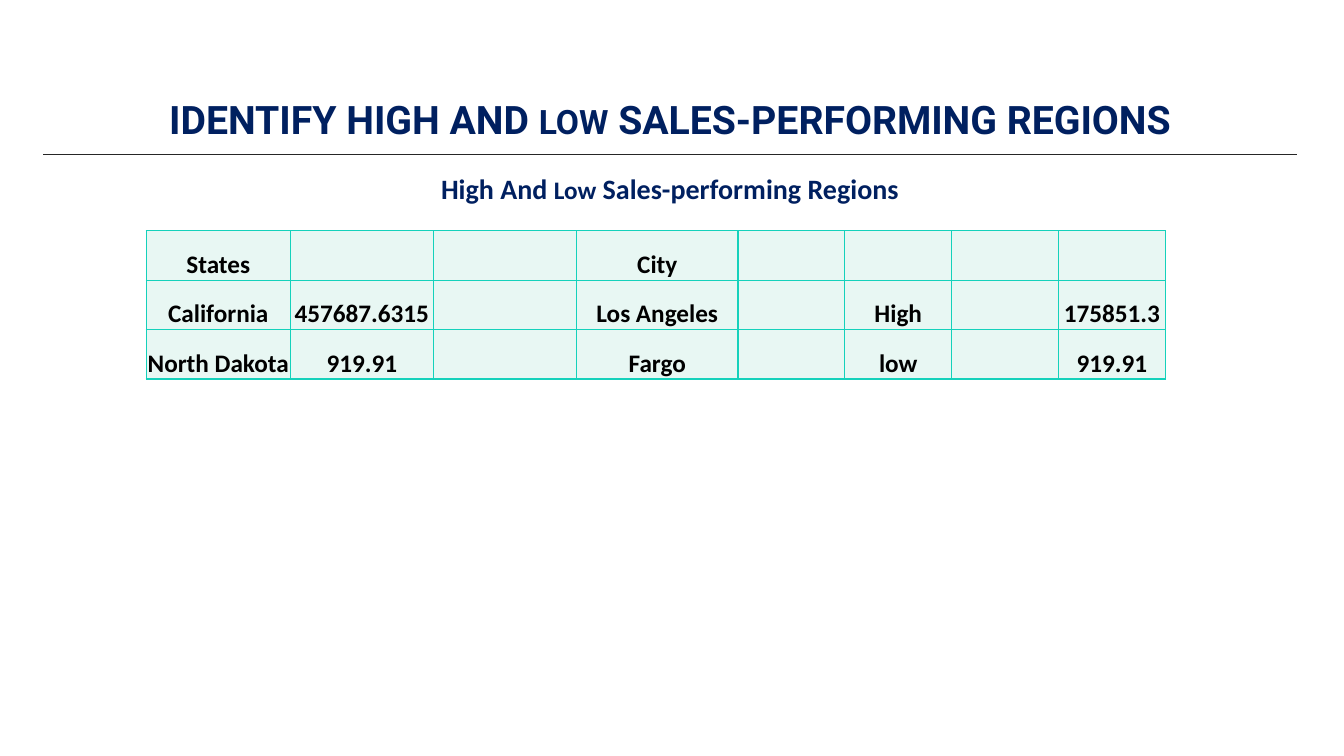
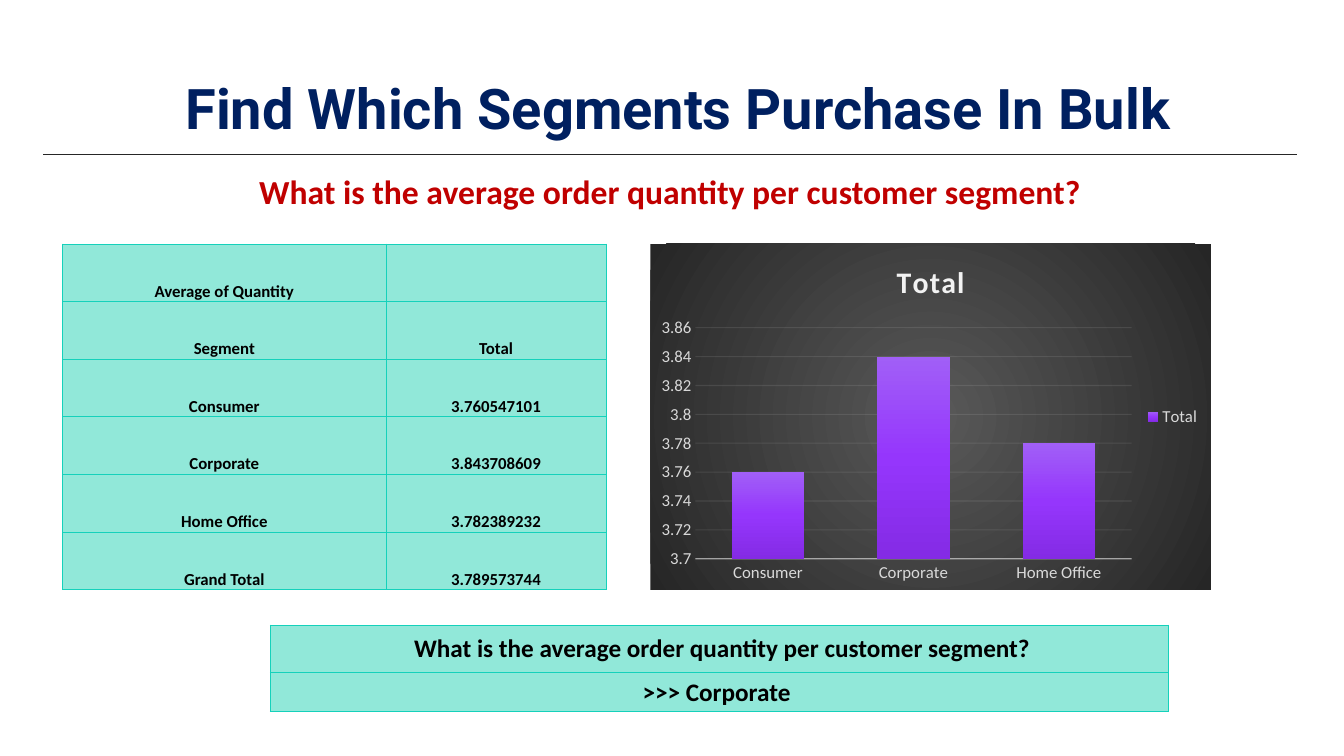
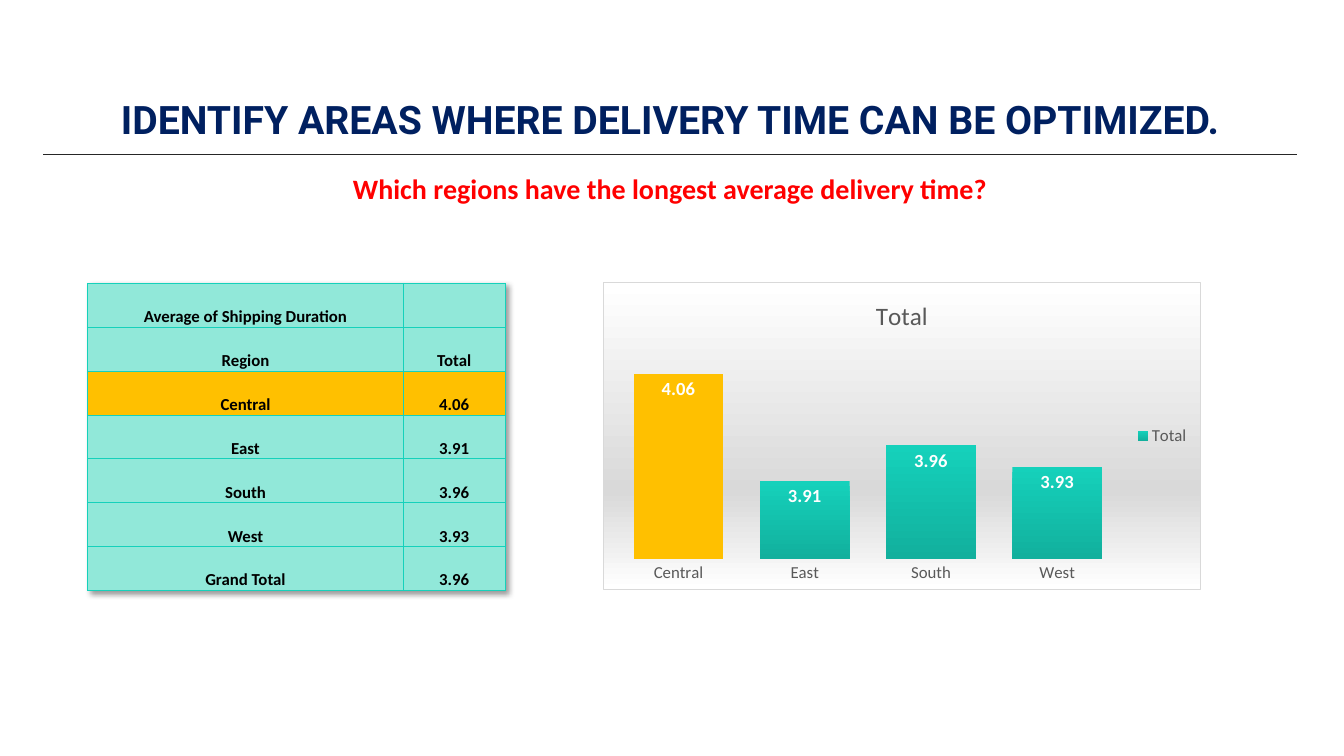
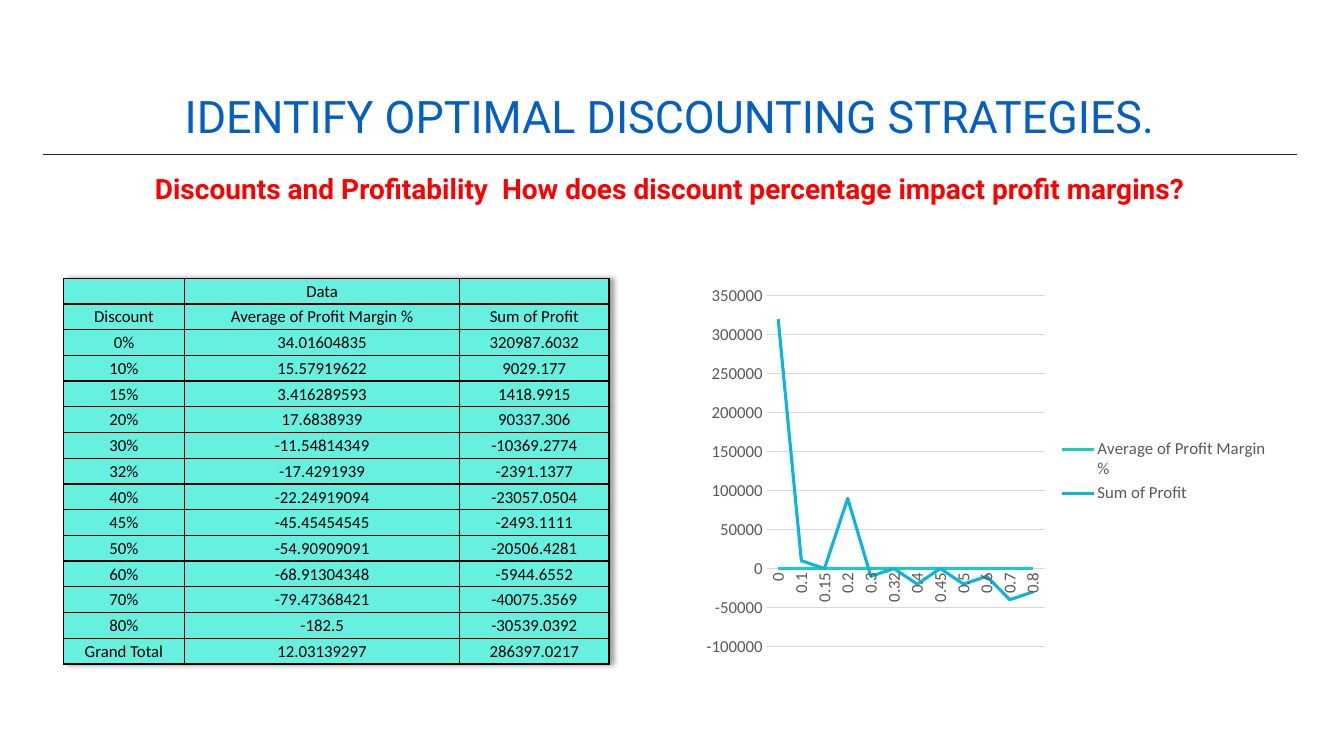
from lxml import etree
from pptx import Presentation
from pptx.chart.data import CategoryChartData as ChartData
from pptx.dml.color import RGBColor as RGB
from pptx.enum.chart import XL_CHART_TYPE as Kind
from pptx.enum.chart import XL_LABEL_POSITION as Spot
from pptx.enum.chart import XL_LEGEND_POSITION as Side
from pptx.enum.chart import XL_MARKER_STYLE as Mark
from pptx.enum.chart import XL_TICK_MARK as Tick
from pptx.enum.shapes import MSO_CONNECTOR as Wire
from pptx.enum.text import MSO_ANCHOR as Anchor
from pptx.enum.text import PP_ALIGN as Align
from pptx.oxml import parse_xml
from pptx.oxml.ns import nsdecls, qn
from pptx.util import Inches, Pt

WHITE = RGB(0xFF, 0xFF, 0xFF)
BLACK = RGB(0, 0, 0)
INK = RGB(0x26, 0x26, 0x26)
NAVY = RGB(0x00, 0x20, 0x60)
BLUE = RGB(0x04, 0x5F, 0xC4)
RED = RGB(0xFF, 0, 0)
CRIMSON = RGB(0xC0, 0, 0)
TEAL = RGB(0x15, 0xD1, 0xBB)
SEA = RGB(0x12, 0xB0, 0x9D)
CYAN = RGB(0x0F, 0xB4, 0xDB)
MINT = RGB(0x91, 0xE8, 0xD9)
PALE = RGB(0xE8, 0xF7, 0xF3)
AQUA = RGB(0x66, 0xF0, 0xE0)
GOLD = RGB(0xFF, 0xC0, 0)
SLATE = RGB(0x59, 0x59, 0x59)
SILVER = RGB(0xD9, 0xD9, 0xD9)
SNOW = RGB(0xF2, 0xF2, 0xF2)
LILAC = RGB(0xA1, 0x5F, 0xF7)
VIOLET = RGB(0x95, 0x36, 0xFC)
PURPLE = RGB(0x84, 0x2B, 0xE5)

LEFT, WIDTH = 0.43, 12.43
TITLE = {"name": "Roboto", "size": Pt(28), "bold": True, "color": NAVY}
ASK = {"name": "Calibri", "size": Pt(20), "bold": True, "color": RED}
CELL = {"name": "Calibri", "size": Pt(12), "bold": True, "color": BLACK}
LABEL = {"name": "Calibri", "size": Pt(12), "bold": False, "color": SLATE}

REGIONS = [
    ["States", "", "", "City", "", "", "", ""],
    ["California", "457687.6315", "", "Los Angeles", "", "High", "", "175851.3"],
    ["North Dakota", "919.91", "", "Fargo", "", "low", "", "919.91"],
]
SEGMENTS = [
    ["Average of Quantity", ""],
    ["Segment", "Total"],
    ["Consumer", "3.760547101"],
    ["Corporate", "3.843708609"],
    ["Home Office", "3.782389232"],
    ["Grand Total", "3.789573744"],
]
SHIPPING = [
    ["Average of Shipping Duration", ""],
    ["Region", "Total"],
    ["Central", "4.06"],
    ["East", "3.91"],
    ["South", "3.96"],
    ["West", "3.93"],
    ["Grand Total", "3.96"],
]
DISCOUNTS = [
    ["", "Data", ""],
    ["Discount", "Average of Profit Margin %", "Sum of Profit"],
    ["0%", "34.01604835", "320987.6032"],
    ["10%", "15.57919622", "9029.177"],
    ["15%", "3.416289593", "1418.9915"],
    ["20%", "17.6838939", "90337.306"],
    ["30%", "-11.54814349", "-10369.2774"],
    ["32%", "-17.4291939", "-2391.1377"],
    ["40%", "-22.24919094", "-23057.0504"],
    ["45%", "-45.45454545", "-2493.1111"],
    ["50%", "-54.90909091", "-20506.4281"],
    ["60%", "-68.91304348", "-5944.6552"],
    ["70%", "-79.47368421", "-40075.3569"],
    ["80%", "-182.5", "-30539.0392"],
    ["Grand Total", "12.03139297", "286397.0217"],
]


def put(obj, **vals):
    for key, val in vals.items():
        setattr(obj, key, val)


def style(font, form):
    for key, val in form.items():
        if key == "color":
            font.color.rgb = val
        else:
            setattr(font, key, val)


def write(para, parts):
    """Add (text, format) runs to a centred paragraph."""
    para.alignment = Align.CENTER
    for text, form in parts:
        run = para.add_run()
        run.text = text
        style(run.font, form)


def block(slide, box, parts, anchor, **gaps):
    frame = slide.shapes.add_textbox(*map(Inches, box)).text_frame
    put(frame, word_wrap=True, vertical_anchor=anchor,
        margin_left=0, margin_right=0,
        margin_top=Inches(0.05), margin_bottom=Inches(0.05))
    put(frame.paragraphs[0], **gaps)
    write(frame.paragraphs[0], parts)


def head(deck, title, ask):
    """Start a slide with its title, rule and question."""
    slide = deck.slides.add_slide(deck.slide_layouts[6])
    y = Inches(1.53)
    rule = slide.shapes.add_connector(
        Wire.STRAIGHT, Inches(LEFT), y, Inches(LEFT + WIDTH), y)
    put(rule.line, width=Pt(1))
    rule.line.color.rgb = INK
    etree.SubElement(rule._element.spPr, qn("a:effectLst"))
    block(slide, (LEFT, 0.37, WIDTH, 1.1), title, Anchor.BOTTOM, line_spacing=0.9)
    block(slide, (LEFT, 1.65, WIDTH, 5.3), ask, Anchor.TOP, space_before=Pt(10))
    return slide


def border(cell, color, width):
    props = cell._tc.get_or_add_tcPr()
    for pos, side in enumerate("LRTB"):
        props.insert(pos, parse_xml(
            f'<a:ln{side} {nsdecls("a")} w="{Pt(width)}"><a:solidFill>'
            f'<a:srgbClr val="{color}"/></a:solidFill></a:ln{side}>'))


def shade(table, angle):
    """Cast an outer shadow from the table, at an angle in degrees."""
    table._tbl.tblPr.insert(0, parse_xml(
        f'<a:effectLst {nsdecls("a")}><a:outerShdw blurRad="50800" dist="38100" '
        f'dir="{angle * 60000}" algn="tl"><a:srgbClr val="000000">'
        '<a:alpha val="40000"/></a:srgbClr></a:outerShdw></a:effectLst>'))


def grid(slide, at, cols, rows, data, fill, form=CELL, anchor=Anchor.BOTTOM,
         edge=(TEAL, 0.5), marks=None):
    """Place a table; marks maps a row number to its own fill."""
    size = sum(cols), sum(rows)
    table = slide.shapes.add_table(
        len(rows), len(cols), *map(Inches, at + size)).table
    put(table, first_row=False, horz_banding=False)
    for col, wide in zip(table.columns, cols):
        col.width = Inches(wide)
    for r, (row, high) in enumerate(zip(table.rows, rows)):
        row.height = Inches(high)
        for cell, text in zip(row.cells, data[r]):
            put(cell, vertical_anchor=anchor, margin_bottom=0,
                margin_left=Inches(0.01), margin_right=Inches(0.01),
                margin_top=Inches(0.01))
            cell.fill.solid()
            cell.fill.fore_color.rgb = (marks or {}).get(r, fill)
            border(cell, *edge)
            para = cell.text_frame.paragraphs[0]
            if text:
                write(para, [(text, form)])
            else:
                end = para._p.get_or_add_endParaRPr()
                end.set("sz", str(int(form["size"].pt * 100)))
    return table


def blend(stops, round_=False):
    """Gradient fill, downward or from the centre out."""
    marks = "".join(f'<a:gs pos="{pos * 1000}"><a:srgbClr val="{color}"/></a:gs>'
                    for pos, color in stops)
    way = ('<a:path path="circle"><a:fillToRect l="50000" t="50000" r="50000" '
           'b="50000"/></a:path>' if round_ else '<a:lin ang="5400000" scaled="0"/>')
    return parse_xml(f'<a:gradFill {nsdecls("a")}><a:gsLst>{marks}</a:gsLst>'
                     f'{way}</a:gradFill>')


def back(chart, fill, edge=None):
    """Fill the chart area, with an outline if an edge colour is given."""
    line = (f'<a:solidFill><a:srgbClr val="{edge}"/></a:solidFill>'
            if edge else '<a:noFill/>')
    props = parse_xml(f'<c:spPr {nsdecls("c", "a")}><a:ln w="{Pt(0.75)}">'
                      f'{line}</a:ln></c:spPr>')
    props.insert(0, fill)
    chart._chartSpace.find(qn("c:chart")).addnext(props)


def stroke(line, color, width=0.75, alpha=100):
    line.color.rgb = color
    line.width = Pt(width)
    if alpha < 100:
        tint = line._ln.find(".//" + qn("a:srgbClr"))
        etree.SubElement(tint, qn("a:alpha")).set("val", str(alpha * 1000))


def plot(slide, box, kind, cats, series, form=LABEL, title=None):
    """Place a chart with plain axes and a legend on the right."""
    data = ChartData()
    data.categories = cats
    for name, vals in series:
        data.add_series(name, vals)
    chart = slide.shapes.add_chart(kind, *map(Inches, box), data).chart
    style(chart.font, {**CELL, "size": Pt(10), "bold": False})
    put(chart, has_legend=True, has_title=bool(title))
    put(chart.legend, position=Side.RIGHT, include_in_layout=False)
    style(chart.legend.font, form)
    if title:
        write(chart.chart_title.text_frame.paragraphs[0], [title])
    for axis in (chart.category_axis, chart.value_axis):
        put(axis, major_tick_mark=Tick.NONE, minor_tick_mark=Tick.NONE)
        style(axis.tick_labels.font, form)
        axis.format.line.fill.background()
    chart.plots[0].vary_by_categories = False
    return chart


def numbers(data, col, digits):
    """Chart values from the table, without its headings and total."""
    return [round(float(row[col]), digits) for row in data[2:-1]]


def names(data):
    return [row[0] for row in data[2:-1]]


def bars(slide, box, data, form, title, gap, scale, fill):
    chart = plot(slide, box, Kind.COLUMN_CLUSTERED, names(data),
                 [("Total", numbers(data, 1, 2))], form, title)
    put(chart.plots[0], gap_width=gap)
    put(chart.value_axis, **scale)
    chart.plots[0].series[0]._element.get_or_add_spPr().insert(0, fill)
    return chart


def regions(deck):
    slide = head(
        deck,
        [("IDENTIFY HIGH AND ", TITLE), ("LOW", {**TITLE, "size": Pt(24)}),
         (" SALES-PERFORMING REGIONS", TITLE)],
        [("High And ", {**ASK, "color": NAVY}),
         ("Low", {**ASK, "color": NAVY, "size": Pt(18)}),
         (" Sales-performing Regions", {**ASK, "color": NAVY})])
    grid(slide, (1.45, 2.29), [1.43, 1.42, 1.42, 1.6] + [1.06] * 4, [0.49] * 3,
         REGIONS, PALE, {**CELL, "size": Pt(18)}, edge=(TEAL, 1))


def segments(deck):
    ask = "What is the average order quantity per customer segment?"
    slide = head(
        deck,
        [(" ", {**TITLE, "size": Pt(45), "bold": False}),
         ("Find Which Segments Purchase In Bulk", {**TITLE, "size": Pt(40)})],
        [(ask, {**ASK, "size": Pt(24), "color": CRIMSON})])
    grid(slide, (0.62, 2.42), [3.21, 2.18], [3.43 / 6] * 6, SEGMENTS, MINT)
    chart = bars(
        slide, (6.45, 2.42, 5.56, 3.43), SEGMENTS, {**LABEL, "color": SILVER},
        ("Total", {**CELL, "size": Pt(21.3), "color": SNOW}), 100,
        {"minimum_scale": 3.7, "maximum_scale": 3.86, "major_unit": 0.02},
        blend([(0, LILAC), (50, VIOLET), (100, PURPLE)]))
    chart.plots[0].overlap = -24
    run = chart.chart_title.text_frame.paragraphs[0].runs[0]
    run._r.get_or_add_rPr().set("spc", "100")
    stroke(chart.category_axis.format.line, SNOW, 1, 54)
    stroke(chart.value_axis.major_gridlines.format.line, SNOW, alpha=10)
    back(chart, blend([(0, SLATE), (100, INK)], True))
    grid(slide, (2.68, 6.2), [8.91], [0.47, 0.39],
         [[" " + ask], [">>> Corporate "]], MINT,
         {**CELL, "size": Pt(18)}, Anchor.MIDDLE)


def shipping(deck):
    slide = head(
        deck,
        [("IDENTIFY AREAS WHERE DELIVERY TIME CAN BE OPTIMIZED.", TITLE)],
        [("Which regions have the longest average delivery time?", ASK)])
    table = grid(slide, (0.87, 2.81), [3.13, 1.01], [3.05 / 7] * 7,
                 SHIPPING, MINT, marks={2: GOLD})
    shade(table, 45)
    chart = bars(
        slide, (5.98, 2.8, 5.93, 3.05), SHIPPING, LABEL,
        ("Total", {**LABEL, "size": Pt(18)}), 41,
        {"minimum_scale": 3.8, "maximum_scale": 4.1, "visible": False,
         "has_major_gridlines": False},
        blend([(0, TEAL), (100, SEA)]))
    total = chart.plots[0].series[0]
    best = total.points[0].format.fill
    best.solid()
    best.fore_color.rgb = GOLD
    tags = total.data_labels
    put(tags, show_value=True, position=Spot.INSIDE_END,
        number_format="0.00", number_format_is_linked=False)
    style(tags.font, {**CELL, "size": Pt(13.3), "color": WHITE})
    back(chart, blend([(0, WHITE), (68, SILVER), (100, WHITE)]), SILVER)


def discounts(deck):
    slide = head(
        deck,
        [("IDENTIFY OPTIMAL DISCOUNTING STRATEGIES.",
          {**TITLE, "size": Pt(32), "bold": False, "color": BLUE})],
        [("Discounts and Profitability  How does discount percentage "
          "impact profit margins?", {**ASK, "name": "Roboto"})])
    table = grid(slide, (0.63, 2.76), [1.2, 2.73, 1.48], [3.83 / 15] * 15,
                 DISCOUNTS, AQUA, {**CELL, "bold": False}, Anchor.MIDDLE,
                 (BLACK, 1))
    shade(table, 0)
    cats = [f"{int(name[:-1]) / 100:g}" for name in names(DISCOUNTS)]
    series = [(DISCOUNTS[1][col], [int(val) for val in numbers(DISCOUNTS, col, -4)])
              for col in (1, 2)]
    chart = plot(slide, (6.89, 2.76, 5.8, 3.83), Kind.LINE, cats, series)
    put(chart.value_axis, minimum_scale=-100000, maximum_scale=350000,
        major_unit=50000)
    stroke(chart.value_axis.major_gridlines.format.line, SILVER)
    stroke(chart.category_axis.format.line, SILVER)
    turn = chart.category_axis._element.find(".//" + qn("a:bodyPr"))
    turn.set("rot", "-5400000")
    turn.set("vert", "horz")
    for line, color in zip(chart.plots[0].series, (TEAL, CYAN)):
        line.smooth = False
        line.marker.style = Mark.NONE
        stroke(line.format.line, color, 2.25)


def main():
    deck = Presentation()
    put(deck, slide_width=Inches(13.33), slide_height=Inches(7.5))
    for build in (regions, segments, shipping, discounts):
        build(deck)
    deck.save("out.pptx")


if __name__ == "__main__":
    main()
